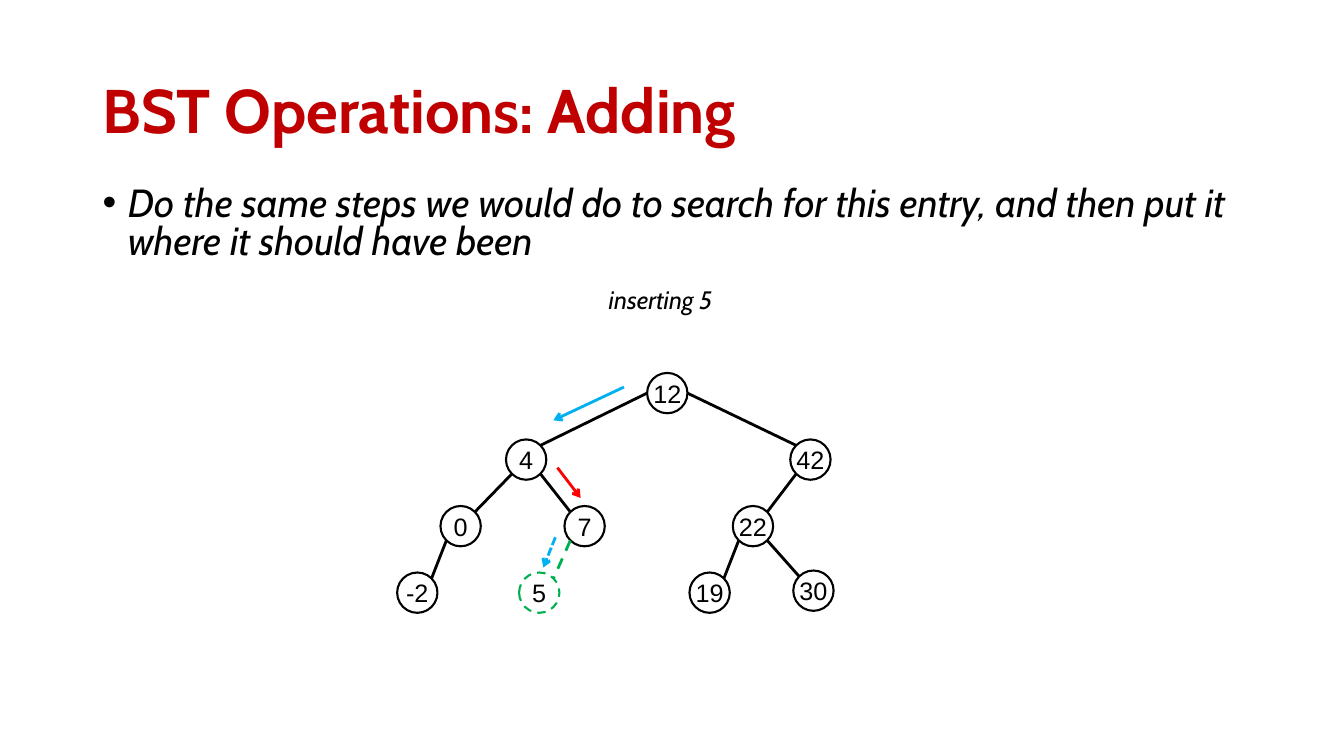
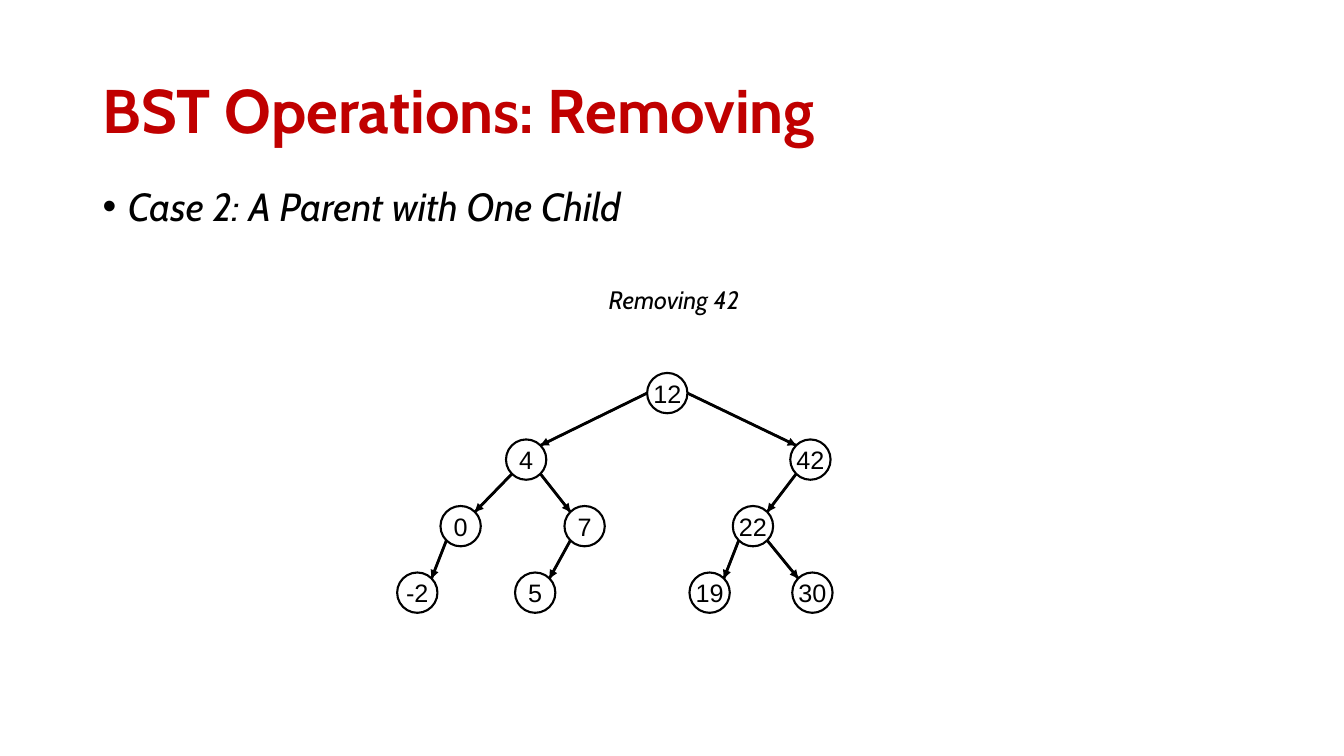
"""Two slides on adding to and removing from a binary search tree."""
import dataclasses
import math

import pptx
import pptx.dml.color
import pptx.enum.dml
import pptx.enum.shapes
import pptx.enum.text
import pptx.oxml
import pptx.oxml.ns
import pptx.util

ANCHOR = pptx.enum.text.MSO_ANCHOR
DASH = pptx.enum.dml.MSO_LINE


@dataclasses.dataclass(frozen=True)
class Theme:
    """Colours, fonts, type sizes and line widths of the deck."""
    title: str = "C00000"
    ink: str = "000000"
    left: str = "00B0F0"
    right: str = "FF0000"
    added: str = "00B050"
    text_font: str = "Cabin"
    node_font: str = "Arial"
    title_size: int = 44
    body_size: int = 28
    small_size: int = 18
    edge: float = 2
    outline: float = 1.5


@dataclasses.dataclass(frozen=True)
class Box:
    """A region in grid cells, ten to the inch."""
    left: float
    top: float
    width: float
    height: float

    def lengths(self):
        """Return the four lengths of the region."""
        return [cells(n) for n in (self.left, self.top, self.width, self.height)]


THEME = Theme()
TITLE_BOX = Box(9.2, 4, 115, 14.5)
BODY_BOX = Box(9.2, 18.1, 113.8, 9.3)
CAPTION_BOX = Box(59.4, 27.7, 13.7, 4)
TREE_BOX = Box(39.4, 37, 43.3, 23.8)
NODE_SIZE = 4
LEVEL_STEP = 6.6

PARENTS = {"4": "12", "42": "12", "0": "4", "7": "4", "22": "42",
           "-2": "0", "5": "7", "19": "22", "30": "22"}
NODES = {"12": (24.8, 0), "4": (10.8, 1), "42": (39, 1), "0": (4.3, 2),
         "7": (16.6, 2), "22": (33.3, 2), "-2": (0, 3), "19": (29, 3)}


def cells(count):
    """Turn grid cells into a length."""
    return pptx.util.Inches(count / 10)


def rgb(colour):
    """Turn a hex string into a colour."""
    return pptx.dml.color.RGBColor.from_string(colour)


def apply(target, formats):
    """Set each named attribute of the target."""
    for name, value in formats.items():
        setattr(target, name, value)


def write(frame, text, colour, frame_formats=None, para_formats=None, **font_formats):
    """Put one styled paragraph into a text frame and return it."""
    apply(frame, {"word_wrap": True, **(frame_formats or {})})
    para = frame.paragraphs[0]
    apply(para, para_formats or {})
    span = para.add_run()
    span.text = text
    apply(span.font, font_formats)
    span.font.color.rgb = rgb(colour)
    return para


def style_line(line, colour, width, dash=None):
    """Set colour, width and dash of a line."""
    line.color.rgb = rgb(colour)
    apply(line, {"width": pptx.util.Pt(width), "dash_style": dash})


def add_line(page, box, start, end, colour=THEME.ink, width=THEME.edge, dash=None, head=None):
    """Draw a line between two points of the box, with an optional head."""
    points = [cells(n) for x, y in (start, end) for n in (box.left + x, box.top + y)]
    connector = page.shapes.add_connector(pptx.enum.shapes.MSO_CONNECTOR.STRAIGHT, *points)
    style_line(connector.line, colour, width, dash)
    properties = connector.element.spPr
    if head:
        outline = properties.find(pptx.oxml.ns.qn("a:ln"))
        outline.append(pptx.oxml.parse_xml(
            f'<a:tailEnd {pptx.oxml.ns.nsdecls("a")} type="{head}"/>'))
    properties.append(pptx.oxml.parse_xml(f'<a:effectLst {pptx.oxml.ns.nsdecls("a")}/>'))


def add_title(page, box, text):
    """Place the slide title."""
    frame = page.shapes.add_textbox(*box.lengths()).text_frame
    write(frame, text, THEME.title, {"vertical_anchor": ANCHOR.MIDDLE}, {"line_spacing": 0.9},
          name=THEME.text_font, size=pptx.util.Pt(THEME.title_size), bold=True)


def add_bullet(page, box, text, spacing):
    """Place the bulleted statement under the title."""
    frame = page.shapes.add_textbox(*box.lengths()).text_frame
    para = write(frame, text, THEME.ink, None, {"line_spacing": spacing},
                 name=THEME.text_font, size=pptx.util.Pt(THEME.body_size), italic=True)
    properties = para._p.get_or_add_pPr()
    indent = cells(2.5)
    properties.set("marL", str(indent))
    properties.set("indent", str(-indent))
    for tag in ('buFont {} typeface="Arial"', 'buChar {} char="•"'):
        xml = "<a:" + tag.format(pptx.oxml.ns.nsdecls("a")) + "/>"
        properties.append(pptx.oxml.parse_xml(xml))


def add_caption(page, box, text):
    """Place the line that names the operation."""
    frame = page.shapes.add_textbox(*box.lengths()).text_frame
    fit = pptx.enum.text.MSO_AUTO_SIZE.SHAPE_TO_FIT_TEXT
    write(frame, text, THEME.ink, {"word_wrap": False, "auto_size": fit},
          name=THEME.text_font, size=pptx.util.Pt(THEME.small_size), italic=True)


def add_node(page, box, label, place, colour, dash):
    """Draw one labelled circle of the tree."""
    column, level = place
    area = Box(box.left + column, box.top + level * LEVEL_STEP, NODE_SIZE, NODE_SIZE)
    circle = page.shapes.add_shape(pptx.enum.shapes.MSO_SHAPE.OVAL, *area.lengths())
    circle.shadow.inherit = False
    circle.fill.background()
    style_line(circle.line, colour, THEME.outline, dash)
    write(circle.text_frame, label, THEME.ink,
          {"word_wrap": False, "vertical_anchor": ANCHOR.MIDDLE,
           "margin_left": 0, "margin_right": 0},
          {"alignment": pptx.enum.text.PP_ALIGN.CENTER},
          name=THEME.node_font, size=pptx.util.Pt(THEME.small_size))


def rim(place, across, down):
    """Return the point on a node's rim in the given direction."""
    column, level = place
    radius = NODE_SIZE / 2
    reach = radius / math.hypot(across, down)
    return column + radius + across * reach, level * LEVEL_STEP + radius + down * reach


def add_tree(page, box, nodes, added=None, pointers=False):
    """Draw the tree, with an optional added node or pointer heads."""
    for label, place in nodes.items():
        colour, dash = (THEME.added, DASH.DASH) if label == added else (THEME.ink, None)
        add_node(page, box, label, place, colour, dash)
        if label not in PARENTS:
            continue
        parent = nodes[PARENTS[label]]
        side = 1 if place[0] > parent[0] else -1
        start = rim(parent, side, 1 if parent[1] else 0)
        end = rim(place, -side, -1)
        add_line(page, box, start, end, colour, dash=dash)
        if pointers:
            add_line(page, box, start, end, width=THEME.outline, head="triangle")


def add_search_steps(page, box):
    """Draw the arrows that follow the search down the tree."""
    for start, end, colour, dash in (
            ((22.5, 1.4), (15.5, 4.7), THEME.left, None),
            ((15.9, 9.4), (18.2, 12.4), THEME.right, None),
            ((15.7, 16.3), (14.5, 19.3), THEME.left, DASH.SQUARE_DOT)):
        add_line(page, box, start, end, colour, dash=dash, head="arrow")


def add_page(deck, title, statement, spacing, caption, caption_width):
    """Add a slide with its title, statement and caption."""
    page = deck.slides.add_slide(deck.slide_layouts[6])
    add_title(page, TITLE_BOX, title)
    add_bullet(page, BODY_BOX, statement, spacing)
    add_caption(page, dataclasses.replace(CAPTION_BOX, width=caption_width), caption)
    return page


def main():
    """Build and save the deck."""
    deck = pptx.Presentation()
    apply(deck, {"slide_width": cells(133.33), "slide_height": cells(75)})

    adding = add_page(
        deck, "BST Operations: Adding",
        "Do the same steps we would do to search for this entry, "
        "and then put it where it should have been",
        0.8, "inserting 5", 13.7)
    add_tree(adding, TREE_BOX, {**NODES, "5": (12.1, 3), "30": (39.3, 2.97)}, added="5")
    add_search_steps(adding, TREE_BOX)

    removing = add_page(deck, "BST Operations: Removing",
                        "Case 2: A Parent with One Child", 0.9, "Removing 42", 15.9)
    add_tree(removing, TREE_BOX, {**NODES, "5": (11.7, 3), "30": (39.2, 3)}, pointers=True)

    deck.save("out.pptx")


if __name__ == "__main__":
    main()
